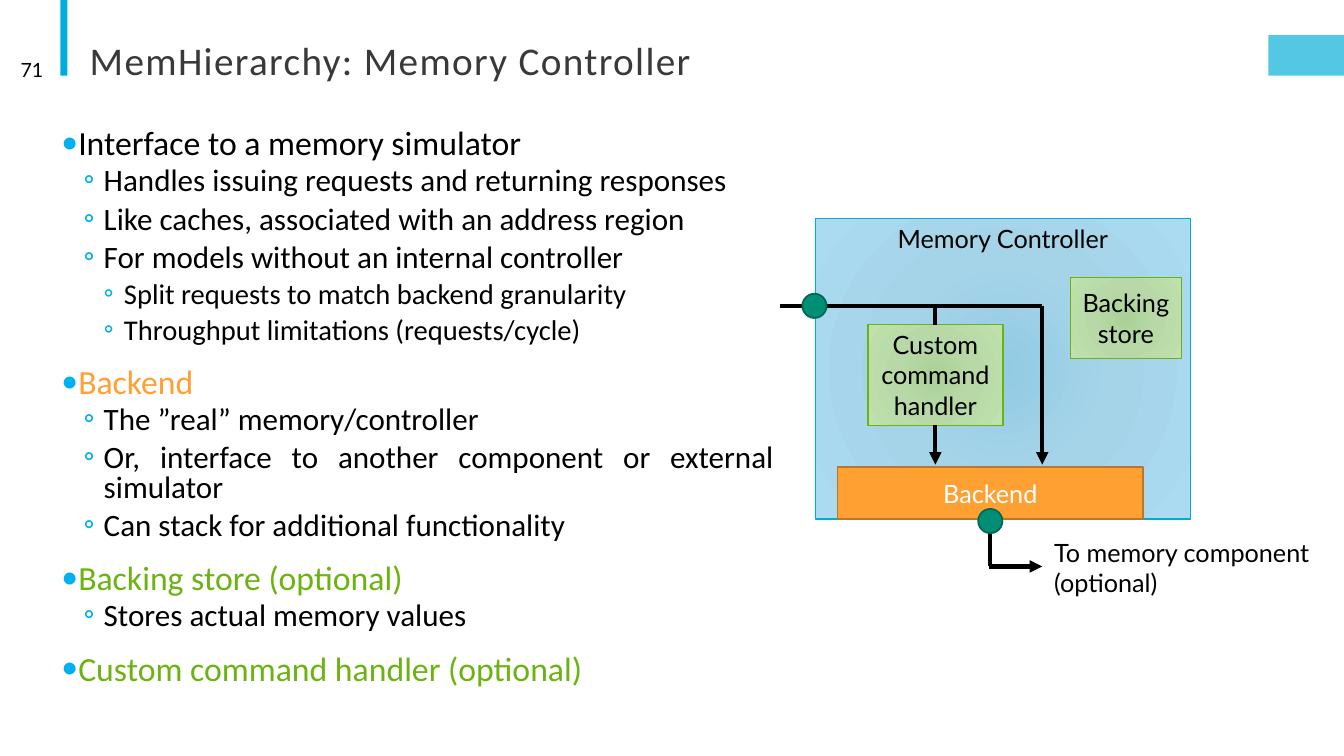
from lxml import etree
from pptx import Presentation
from pptx.dml.color import RGBColor
from pptx.enum import shapes, text
from pptx.oxml import ns
from pptx.util import Pt

BLACK = RGBColor(0, 0, 0)
WHITE = RGBColor(255, 255, 255)
TITLE_GRAY = RGBColor(0x3B, 0x38, 0x38)
ACCENT = RGBColor(0x00, 0xAC, 0xD9)
BULLET_BLUE = RGBColor(0x00, 0xB0, 0xF0)
CONTROLLER_LINE = RGBColor(0x00, 0xAD, 0xD0)
ORANGE = RGBColor(0xFF, 0xA0, 0x33)
ORANGE_LINE = RGBColor(0xBD, 0x76, 0x26)
GREEN = RGBColor(0x6C, 0xB3, 0x12)
PORT_GREEN = RGBColor(0x00, 0x8E, 0x74)
PORT_LINE = RGBColor(0x00, 0x69, 0x56)
BLUE_GLOW = [RGBColor(0x92, 0xCB, 0xE3), RGBColor(0xA5, 0xD4, 0xE9), RGBColor(0xAA, 0xDB, 0xF1)]
GREEN_GLOW = [RGBColor(0xAA, 0xD1, 0x95), RGBColor(0xB8, 0xD9, 0xA7), RGBColor(0xBE, 0xE1, 0xAD)]

TITLE = "MemHierarchy: Memory Controller"
PAGE = "71"
OUTLINE = [
    (0, "Interface to a memory simulator", BLACK),
    (1, "Handles issuing requests and returning responses", BLACK),
    (1, "Like caches, associated with an address region", BLACK),
    (1, "For models without an internal controller", BLACK),
    (2, "Split requests to match backend granularity", BLACK),
    (2, "Throughput limitations (requests/cycle)", BLACK),
    (0, "Backend", ORANGE),
    (1, "The ”real” memory/controller", BLACK),
    (1, "Or, interface to another component or external simulator", BLACK),
    (1, "Can stack for additional functionality", BLACK),
    (0, "Backing store (optional)", GREEN),
    (1, "Stores actual memory values", BLACK),
    (0, "Custom command handler (optional)", GREEN),
]
LEVELS = [
    dict(size=24.1, margin=7.2, hanging=7.2, before=12, after=2, bullet="•"),
    dict(size=22.2, margin=30.2, hanging=14.4, before=2, after=4, bullet="◦"),
    dict(size=20.4, margin=44.6, hanging=14.4, before=2, after=4, bullet="◦"),
]
CONTROLLER = (582.5, 156.2, 267.8, 214.6)
BACKEND = (598.3, 333.4, 218.2, 37.4)
STORE = (764.6, 198, 79.2, 58.3)
HANDLER = (619.9, 231.8, 96.5, 72)
BLOCKS = [
    ("Memory Controller", CONTROLLER, BLUE_GLOW, CONTROLLER_LINE, 1, BLACK, text.MSO_ANCHOR.TOP),
    ("Backend", BACKEND, ORANGE, ORANGE_LINE, 1.25, WHITE, text.MSO_ANCHOR.MIDDLE),
    ("Backing store", STORE, GREEN_GLOW, GREEN, 1, BLACK, text.MSO_ANCHOR.MIDDLE),
    ("Custom command handler", HANDLER, GREEN_GLOW, GREEN, 1, BLACK, text.MSO_ANCHOR.MIDDLE),
]
PORT = 17.3
BUS_START, BUS_Y, BYPASS_X, OUTPUT_Y = 557.3, 218.5, 744.5, 404.6


def add_element(parent, tag, **attributes):
    return etree.SubElement(parent, ns.qn(tag), attributes)


def add_run(paragraph, words, size, color, font_name):
    run = paragraph.add_run()
    run.text = words
    run.font.size = Pt(size)
    run.font.name = font_name
    run.font.color.rgb = color
    return run


def move(shape, left, top, width, height):
    shape.left, shape.top, shape.width, shape.height = map(Pt, (left, top, width, height))


def fill_glow(shape, colors):
    shape.fill.gradient()
    gradient = shape._element.spPr.find(ns.qn("a:gradFill"))
    for child in list(gradient):
        gradient.remove(child)
    stops = add_element(gradient, "a:gsLst")
    for position, color in zip((0, 45000, 100000), colors):
        stop = add_element(stops, "a:gs", pos=str(position))
        add_element(stop, "a:srgbClr", val=str(color))
    circle = add_element(gradient, "a:path", path="circle")
    add_element(circle, "a:fillToRect", **dict.fromkeys("ltrb", "100000"))


def add_block(slide, kind, box, fill, line=None, line_width=1):
    shape = slide.shapes.add_shape(kind, *map(Pt, box))
    shape.shadow.inherit = False
    if isinstance(fill, list):
        fill_glow(shape, fill)
    else:
        shape.fill.solid()
        shape.fill.fore_color.rgb = fill
    if line is None:
        shape.line.fill.background()
    else:
        shape.line.color.rgb = line
        shape.line.width = Pt(line_width)
    return shape


def add_wire(slide, start, end, arrow):
    wire = slide.shapes.add_connector(shapes.MSO_CONNECTOR.STRAIGHT, *map(Pt, start + end))
    wire.line.color.rgb = BLACK
    wire.line.width = Pt(3)
    if arrow:
        add_element(wire.line._get_or_add_ln(), "a:tailEnd", type="triangle")
    add_element(wire._element.spPr, "a:effectLst")


def add_label(slide, words, box, size, alignment, anchor):
    label = slide.shapes.add_textbox(*map(Pt, box))
    frame = label.text_frame
    frame.word_wrap = True
    frame.vertical_anchor = anchor
    frame.paragraphs[0].alignment = alignment
    add_run(frame.paragraphs[0], words, size, BLACK, "Lato")


def add_header(slide):
    rectangle = shapes.MSO_SHAPE.RECTANGLE
    add_block(slide, rectangle, (43.2, 0, 5, 54), ACCENT)
    tab = add_block(slide, rectangle, (906, 25.2, 54, 28.8), ACCENT)
    color = tab._element.spPr.find(ns.qn("a:solidFill"))[0]
    add_element(color, "a:alpha", val="67000")
    title = slide.shapes.title
    move(title, 56.9, 18.7, 792, 44.6)
    frame = title.text_frame
    frame.word_wrap = True
    frame.auto_size = text.MSO_AUTO_SIZE.NONE
    frame.vertical_anchor = text.MSO_ANCHOR.BOTTOM
    paragraph = frame.paragraphs[0]
    paragraph.alignment = text.PP_ALIGN.LEFT
    paragraph.line_spacing = 0.85
    run = add_run(paragraph, TITLE, 28, TITLE_GRAY, "Calibri")
    run.font._element.set("spc", "100")
    add_label(slide, PAGE, (5, 35.3, 33.1, 28.8), 14, text.PP_ALIGN.RIGHT, text.MSO_ANCHOR.MIDDLE)


def add_outline(slide):
    body = slide.placeholders[1]
    move(body, 43.9, 89.3, 509, 405.4)
    frame = body.text_frame
    frame.word_wrap = True
    frame.auto_size = text.MSO_AUTO_SIZE.NONE
    frame.vertical_anchor = text.MSO_ANCHOR.TOP
    frame.margin_left = frame.margin_right = 0
    for index, (level, words, color) in enumerate(OUTLINE):
        style = LEVELS[level]
        paragraph = frame.add_paragraph() if index else frame.paragraphs[0]
        paragraph.level = level
        paragraph.alignment = text.PP_ALIGN.JUSTIFY
        paragraph.line_spacing = 0.8
        paragraph.space_before = Pt(style["before"] if index else 0)
        paragraph.space_after = Pt(style["after"])
        properties = paragraph._p.get_or_add_pPr()
        properties.set("marL", str(Pt(style["margin"])))
        properties.set("indent", str(-Pt(style["hanging"])))
        bullet_color = add_element(properties, "a:buClr")
        add_element(bullet_color, "a:srgbClr", val=str(BULLET_BLUE))
        add_element(properties, "a:buFont", typeface="Calibri")
        add_element(properties, "a:buChar", char=style["bullet"])
        add_run(paragraph, words, style["size"], color, "Calibri")


def add_diagram(slide):
    for words, box, fill, line, line_width, color, anchor in BLOCKS:
        block = add_block(slide, shapes.MSO_SHAPE.RECTANGLE, box, fill, line, line_width)
        frame = block.text_frame
        frame.word_wrap = True
        frame.vertical_anchor = anchor
        frame.paragraphs[0].alignment = text.PP_ALIGN.CENTER
        add_run(frame.paragraphs[0], words, 18, color, "Lato")

    handler_x = HANDLER[0] + HANDLER[2] / 2
    handler_bottom = HANDLER[1] + HANDLER[3]
    output_x = BACKEND[0] + BACKEND[2] / 2
    output_port_y = BACKEND[1] + BACKEND[3] + 1.4
    arrow_end = BACKEND[1] - 1.5
    wires = [
        ((BUS_START, BUS_Y), (BYPASS_X, BUS_Y), False),
        ((handler_x, BUS_Y), (handler_x, HANDLER[1]), False),
        ((handler_x, handler_bottom), (handler_x, arrow_end), True),
        ((BYPASS_X, BUS_Y), (BYPASS_X, arrow_end), True),
        ((output_x, output_port_y), (output_x, OUTPUT_Y), False),
        ((output_x - 1, OUTPUT_Y), (BYPASS_X, OUTPUT_Y), True),
    ]
    for wire in wires:
        add_wire(slide, *wire)
    for x, y in [(CONTROLLER[0] - 0.7, BUS_Y), (output_x, output_port_y)]:
        box = (x - PORT / 2, y - PORT / 2, PORT, PORT)
        add_block(slide, shapes.MSO_SHAPE.OVAL, box, PORT_GREEN, PORT_LINE, 1.25)
    add_label(slide, "To memory component (optional)", (745.9, 380.2, 199.4, 51.1), 18,
              text.PP_ALIGN.LEFT, text.MSO_ANCHOR.TOP)


def main():
    presentation = Presentation()
    presentation.slide_width = Pt(960)
    presentation.slide_height = Pt(540)
    slide = presentation.slides.add_slide(presentation.slide_layouts[1])
    add_header(slide)
    add_outline(slide)
    add_diagram(slide)
    presentation.save("out.pptx")


if __name__ == "__main__":
    main()
